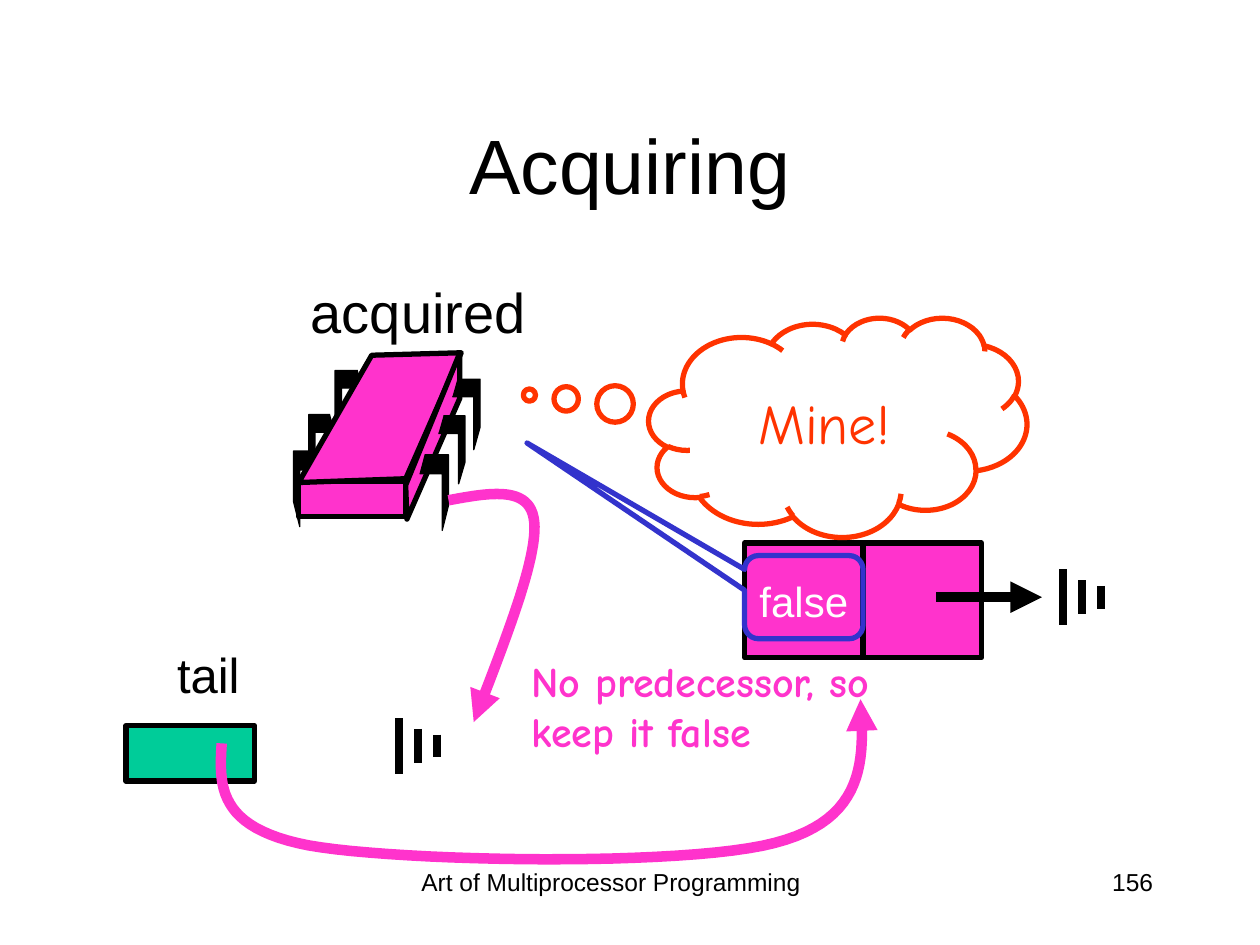
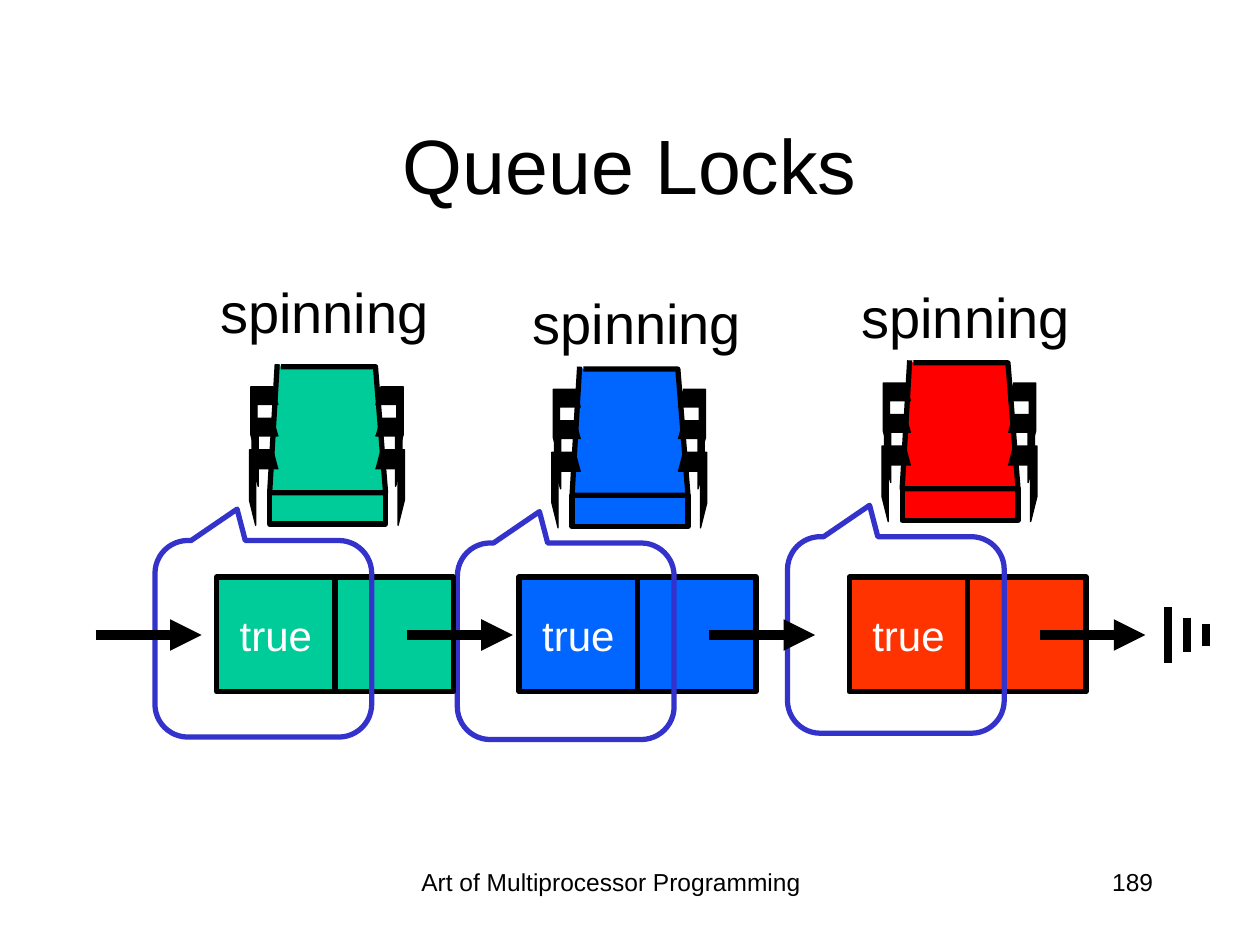
from lxml import etree
from pptx import Presentation
from pptx import util as u
from pptx.dml.color import RGBColor
from pptx.enum import shapes, text
from pptx.oxml.ns import qn

PX = 9144
HUES = {"black": "000000", "white": "FFFFFF", "green": "00CC99", "pink": "FF33CC",
        "blue": "0066FF", "red": "FF0000", "flame": "FF3300", "indigo": "3333CC"}
KIND = shapes.MSO_SHAPE
LEFT, MID, RIGHT = text.PP_ALIGN.LEFT, text.PP_ALIGN.CENTER, text.PP_ALIGN.RIGHT

FOOTER = "Art of Multiprocessor Programming"
CELL = (94, 91)
LEGS = {
    "low": [(19, 0), (0, 0), (0, 40), (5, 60), (5, 15), (23, 15)],
    "mid": [(17, 0), (0, 0), (0, 37), (5, 54), (5, 14), (21, 14)],
    "top": [(18, 0), (0, 0), (0, 38), (5, 56), (5, 14), (22, 14)],
}
GROUND = [44, 27, 18]

LEFT_LEGS = [("low", 233, 358), ("mid", 245, 329), ("top", 266, 294)]
RIGHT_LEGS = [("low", 356, 361), ("mid", 369, 330), ("top", 381, 301)]
ROOF = [(237, 383), (322, 380), (366, 280), (295, 282), (237, 383)]
SIDE = [(365, 280), (365, 316), (323, 412), (322, 385), (365, 280)]
CURVES = [
    [(356, 397), (389, 391), (421, 385), (424, 414), (427, 443), (401, 508), (376, 573)],
    [(176, 590), (174, 623), (172, 657), (245, 671), (318, 684), (543, 688),
     (615, 669), (688, 650), (686, 602), (683, 555)],
]

SPIN_LEGS = [("low", -16, -34), ("mid", -14, -59), ("top", -15, -84)]
SPIN_ROOF = [(9, -100), (84, -100), (92, 0), (0, 0), (6, -102)]
SPINNERS = [
    ("red", "flame", 674, 388, (673, 219)),
    ("blue", "blue", 412, 393, (412, 224)),
    ("green", "green", 172, 391, (164, 215)),
]


def tone(name):
    return RGBColor.from_string(HUES[name])


def paint(item, fill, edge, width, head=False):
    if fill:
        item.fill.solid()
        item.fill.fore_color.rgb = tone(fill)
    elif hasattr(item, "fill"):
        item.fill.background()
    item.line.color.rgb = tone(edge)
    item.line.width = u.Pt(width)
    props = item.element.spPr
    if head:
        etree.SubElement(props.find(qn("a:ln")), qn("a:tailEnd"), type="triangle")
    etree.SubElement(props, qn("a:effectLst"))
    return item


def write(item, words, size, hue="black", align=MID, font="Arial", bold=False,
          wrap=True, middle=False):
    frame = item.text_frame
    frame.word_wrap = wrap
    frame.vertical_anchor = text.MSO_ANCHOR.MIDDLE if middle else text.MSO_ANCHOR.TOP
    frame.text = words
    para = frame.paragraphs[0]
    para.alignment = align
    face = para.runs[0].font
    face.name, face.size, face.bold = font, u.Pt(size), bold
    face.color.rgb = tone(hue)


def label(slide, box, words, size, **look):
    write(slide.shapes.add_textbox(*[v * PX for v in box]), words, size, **look)


def block(slide, kind, box, fill, edge="black", adjust=()):
    item = slide.shapes.add_shape(kind, *[v * PX for v in box])
    for i, value in enumerate(adjust):
        item.adjustments[i] = value
    return paint(item, fill, edge, 3)


def line(slide, start, end, width, head=False):
    ends = [round(v * PX) for v in start + end]
    item = slide.shapes.add_connector(shapes.MSO_CONNECTOR.STRAIGHT, *ends)
    paint(item, None, "black", width, head)


def outline(slide, points, fill, edge="black", width=3, head=False):
    dots = [(round(x * PX), round(y * PX)) for x, y in points]
    form = slide.shapes.build_freeform(*dots[0], scale=1.0)
    form.add_line_segments(dots[1:], close=dots[0] == dots[-1])
    paint(form.convert_to_shape(), fill, edge, width, head)


def curve(slide, knots, steps=24):
    dots = [knots[0]]
    for i in range(0, len(knots) - 1, 3):
        for n in range(1, steps + 1):
            t = n / steps
            rate = [(1 - t) ** 3, 3 * t * (1 - t) ** 2, 3 * t * t * (1 - t), t ** 3]
            dots.append(tuple(sum(r * k[axis] for r, k in zip(rate, knots[i:i + 4]))
                              for axis in (0, 1)))
    outline(slide, dots, None, "pink", 6, True)


def leg(slide, size, x, y, side=1):
    outline(slide, [(x + side * dx, y + dy) for dx, dy in LEGS[size]], "black", width=0.75)


def ground(slide, x, y):
    for i, tall in enumerate(GROUND):
        spot = x + 15 * i
        line(slide, (spot, y - tall / 2), (spot, y + tall / 2), 4.5)


def node(slide, x, y, hue, words):
    first = block(slide, KIND.RECTANGLE, (x, y, *CELL), hue)
    write(first, words, 24, "white", wrap=False, middle=True)
    block(slide, KIND.RECTANGLE, (x + CELL[0], y, *CELL), hue)


def arrow(slide, x, y):
    line(slide, (x, y), (x + 84, y), 6, True)


def spinner(slide, hue, fill, x, top, place):
    left = x + 42
    block(slide, KIND.RECTANGLE, (left, top, 92, 25), hue)
    outline(slide, [(left + dx, top + dy) for dx, dy in SPIN_ROOF], hue)
    for size, dx, dy in SPIN_LEGS:
        leg(slide, size, left + 91 - dx, top + dy, -1)
        leg(slide, size, left + dx, top + dy)
    label(slide, (*place, 187, 64), "spinning", 32, wrap=False)
    node(slide, x, 458, fill, "true")
    arrow(slide, x + 151, 504)
    block(slide, KIND.ROUNDED_RECTANGULAR_CALLOUT, (x - 49, top + 38, 172, 156),
          None, "indigo", (-0.121, -0.66, 0.167))


def page(deck, title, number):
    slide = deck.slides.add_slide(deck.slide_layouts[6])
    label(slide, (289, 683, 392, 50), FOOTER, 14)
    label(slide, (717, 683, 208, 50), number, 14, align=RIGHT)
    label(slide, (75, 67, 850, 125), title, 44, middle=True)
    return slide


def acquire(deck):
    slide = page(deck, "Acquiring", "156")
    block(slide, KIND.RECTANGLE, (100, 576, 102, 44), "green")
    label(slide, (100, 507, 100, 57), "tail", 28, align=RIGHT)
    node(slide, 591, 431, "pink", "false")
    arrow(slide, 743, 474)
    ground(slide, 844, 474)
    block(slide, KIND.RECTANGLE, (237, 382, 85, 28), "pink")
    for part in LEFT_LEGS:
        leg(slide, *part)
    outline(slide, ROOF, "pink")
    outline(slide, SIDE, "pink")
    for part in RIGHT_LEGS:
        leg(slide, *part, -1)
    label(slide, (234, 215, 196, 63), "acquired", 32, wrap=False)
    for knots in CURVES:
        curve(slide, knots)
    ground(slide, 317, 592)
    cloud = block(slide, KIND.CLOUD_CALLOUT, (515, 252, 300, 174), None, "flame",
                  (-0.816, -0.146))
    write(cloud, "Mine!", 32, "flame", font="Comic Neue", middle=True)
    block(slide, KIND.ROUNDED_RECTANGULAR_CALLOUT, (591, 441, 94, 66), None, "indigo",
          (-2.337, -1.855, 0.167))
    label(slide, (412, 515, 300, 91), "No predecessor, so keep it false", 24,
          hue="pink", align=LEFT, font="Comic Neue", bold=True)


def queue(deck):
    slide = page(deck, "Queue Locks", "189")
    for part in SPINNERS:
        spinner(slide, *part)
    ground(slide, 927, 504)
    arrow(slide, 76, 504)


def main():
    deck = Presentation()
    deck.slide_width, deck.slide_height = 1000 * PX, 750 * PX
    acquire(deck)
    queue(deck)
    deck.save("out.pptx")


if __name__ == "__main__":
    main()
